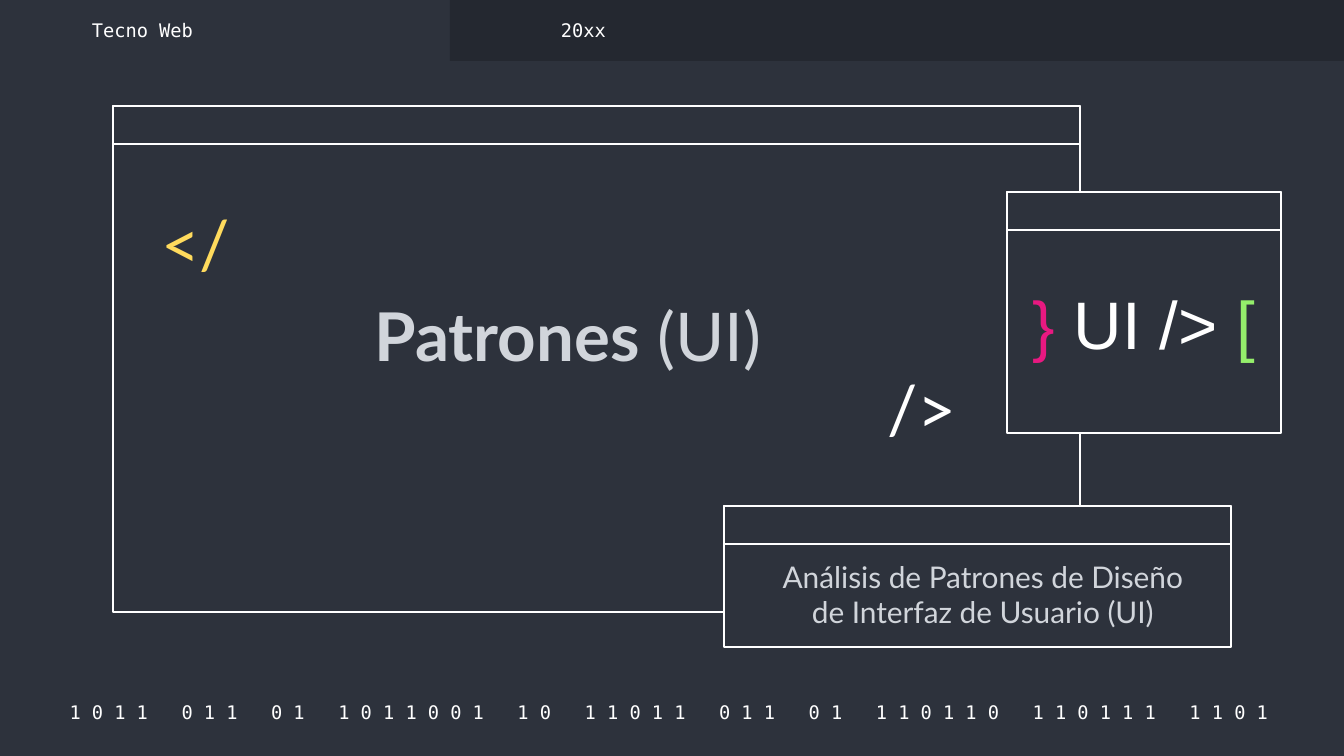
from dataclasses import dataclass

from pptx import Presentation
from pptx.dml.color import RGBColor
from pptx.enum.shapes import MSO_SHAPE
from pptx.enum.text import MSO_ANCHOR, MSO_AUTO_SIZE, PP_ALIGN
from pptx.util import Pt

RECTANGLE = MSO_SHAPE.RECTANGLE
TOP, MIDDLE = MSO_ANCHOR.TOP, MSO_ANCHOR.MIDDLE
LEFT, CENTER = PP_ALIGN.LEFT, PP_ALIGN.CENTER
NO_AUTOFIT = MSO_AUTO_SIZE.NONE
PX = 914400 / 134.4


@dataclass(frozen=True)
class Theme:
    background: str = "2D323C"
    tab: str = "242830"
    white: str = "FFFFFF"
    gray: str = "D1D5DB"
    yellow: str = "FFDB5D"
    pink: str = "E81981"
    green: str = "94EE6B"
    sans: str = "Lato"
    mono: str = "DejaVu Sans Mono"
    symbol: str = "Arial"
    display: int = 36
    subtitle: int = 16
    label: int = 10
    border: float = 0.75


theme = Theme()


def add_panel(page, bounds, fill, line=None):
    panel = page.shapes.add_shape(RECTANGLE, *[round(n * PX) for n in bounds])
    panel.shadow.inherit = False
    panel.fill.solid()
    panel.fill.fore_color.rgb = RGBColor.from_string(fill)
    if line:
        panel.line.color.rgb = RGBColor.from_string(line)
        panel.line.width = Pt(theme.border)
    else:
        panel.line.fill.background()


def write_text(box, bounds, runs, font, size, align=LEFT, anchor=MIDDLE, spacing=1.0):
    box.left, box.top, box.width, box.height = [round(n * PX) for n in bounds]
    inset = round(13 * PX)
    frame_format = {
        "word_wrap": True, "auto_size": NO_AUTOFIT, "vertical_anchor": anchor,
        "margin_left": inset, "margin_right": inset,
        "margin_top": inset, "margin_bottom": inset,
    }
    for name, value in frame_format.items():
        setattr(box.text_frame, name, value)
    para = box.text_frame.paragraphs[0]
    para_format = {"alignment": align, "line_spacing": spacing, "space_before": Pt(0)}
    for name, value in para_format.items():
        setattr(para, name, value)
    for text, color, bold in runs:
        span = para.add_run()
        span.text = text
        for name, value in {"name": font, "size": Pt(size), "bold": bold}.items():
            setattr(span.font, name, value)
        span.font.color.rgb = RGBColor.from_string(color)


deck = Presentation()
deck.slide_width, deck.slide_height = round(1344 * PX), round(756 * PX)
page = deck.slides.add_slide(deck.slide_layouts[0])
page.background.fill.solid()
page.background.fill.fore_color.rgb = RGBColor.from_string(theme.background)

add_panel(page, (450, 0, 894, 61), theme.tab)

windows = [(113, 106, 967, 506), (724, 506, 507, 141), (1007, 192, 274, 241)]
for left, top, width, height in windows:
    for panel_height in (height, 38):
        add_panel(page, (left, top, width, panel_height), theme.background, theme.white)

binary = "1 0 1 1   0 1 1   0 1   1 0 1 1 0 0 1   1 0   1 1 0 1 1   0 1 1   0 1   1 1 0 1 1 0   1 1 0 1 1 1   1 1 0 1 "
labels = [
    ((51, 699, 1246, 27), binary, CENTER),
    ((79, 17, 294, 27), "Tecno Web", LEFT),
    ((548, 17, 294, 27), "20xx", LEFT),
]
for bounds, text, align in labels:
    box = page.shapes.add_textbox(0, 0, 0, 0)
    write_text(box, bounds, [(text, theme.white, False)], theme.mono, theme.label, align)

brackets = [
    ((148, 203, 103, 89), "</", theme.yellow),
    ((874, 368, 103, 89), "/>", theme.white),
]
for bounds, text, color in brackets:
    box = page.shapes.add_textbox(0, 0, 0, 0)
    write_text(box, bounds, [(text, color, False)], theme.sans, theme.display, spacing=0.9)

symbols = [("} ", theme.pink, False), ("UI /> ", theme.white, False), ("[", theme.green, False)]
box = page.shapes.add_textbox(0, 0, 0, 0)
write_text(box, (1007, 278, 274, 110), symbols, theme.symbol, theme.display, CENTER, TOP, 0.9)

title, subtitle = page.shapes.title, page.placeholders[1]
for placeholder in (title, subtitle):
    placeholder.element.getparent().append(placeholder.element)

title_runs = [("Patrones", theme.gray, True), (" (UI)", theme.gray, False)]
write_text(title, (263, 290, 610, 246), title_runs, theme.sans, theme.display, CENTER, TOP, 0.9)

summary = "Análisis de Patrones de Diseño de Interfaz de Usuario (UI)"
write_text(subtitle, (759, 555, 448, 78), [(summary, theme.gray, False)], theme.sans, theme.subtitle, CENTER)

deck.save("out.pptx")
